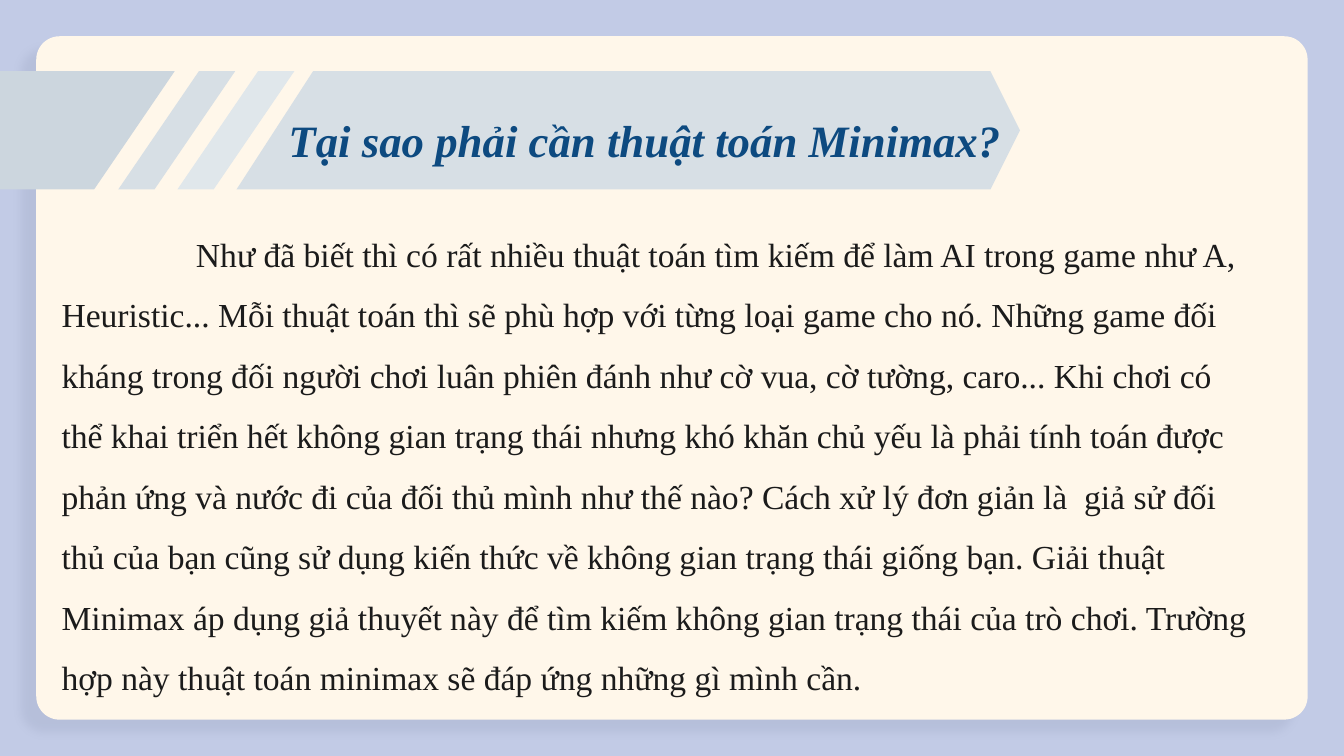
from collections import namedtuple

from lxml.etree import SubElement
from pptx import Presentation
from pptx.dml.color import RGBColor
from pptx.enum.shapes import MSO_SHAPE
from pptx.enum.text import MSO_ANCHOR, PP_ALIGN
from pptx.oxml.ns import qn
from pptx.util import Inches, Pt

WIDTH = 10
HEIGHT = WIDTH * 9 / 16
FONT = "Times New Roman"
COLORS = {
    "background": "C2CBE6",
    "panel": "FFF7EA",
    "shadow": "515B7A",
    "tab": "CCD6DE",
    "band": "D7DFE5",
    "stripe": "E0E7EB",
    "title": "0D4A80",
    "body": "1B1B1B",
}
TITLE = "Tại sao phải cần thuật toán Minimax?"
BODY = (
    " \tNhư đã biết thì có rất nhiều thuật toán tìm kiếm để làm AI trong game như A, "
    "Heuristic... Mỗi thuật toán thì sẽ phù hợp với từng loại game cho nó. "
    "Những game đối kháng trong đối người chơi luân phiên đánh như cờ vua, cờ tường, caro... "
    "Khi chơi có thể khai triển hết không gian trạng thái nhưng khó khăn chủ yếu là "
    "phải tính toán được phản ứng và nước đi của đối thủ mình như thế nào? "
    "Cách xử lý đơn giản là  giả sử đối thủ của bạn cũng sử dụng kiến thức về "
    "không gian trạng thái giống bạn. Giải thuật Minimax áp dụng giả thuyết này để "
    "tìm kiếm không gian trạng thái của trò chơi. "
    "Trường hợp này thuật toán minimax sẽ đáp ứng những gì mình cần."
)

Box = namedtuple("Box", "left top width height")


def paint(shape, color):
    shape.shadow.inherit = False
    shape.fill.solid()
    shape.fill.fore_color.rgb = RGBColor.from_string(COLORS[color])
    shape.line.fill.background()


def add_text(page, box, text, *, size, color, bold=False, italic=False,
             align=PP_ALIGN.LEFT, anchor=MSO_ANCHOR.TOP, margins=None,
             indent=0, tab_size=1, line_spacing=None, space_after=None):
    shape = page.shapes.add_textbox(*map(Inches, box))
    frame = shape.text_frame
    frame.word_wrap = True
    frame.vertical_anchor = anchor
    if margins is not None:
        frame.margin_left = frame.margin_right = Inches(margins)
        frame.margin_top = frame.margin_bottom = Inches(margins)
    para = frame.paragraphs[0]
    para.alignment = align
    para.line_spacing = line_spacing
    if space_after is not None:
        para.space_after = Pt(space_after)
    layout = para._p.get_or_add_pPr()
    layout.set("indent", str(Inches(indent)))
    layout.set("defTabSz", str(Inches(tab_size)))
    span = para.add_run()
    span.text = text
    span.font.name = FONT
    span.font.size = Pt(size)
    span.font.bold = bold
    span.font.italic = italic
    span.font.color.rgb = RGBColor.from_string(COLORS[color])


def add_panel(page, box):
    panel = page.shapes.add_shape(MSO_SHAPE.ROUNDED_RECTANGLE, *map(Inches, box))
    panel.adjustments[0] = 0.034
    paint(panel, "panel")
    effects = panel._element.spPr.find(qn("a:effectLst"))
    shadow = SubElement(effects, qn("a:outerShdw"), blurRad=str(Pt(4.5)),
                        dist=str(Pt(10.5)), dir=str(137 * 60000),
                        algn="bl", rotWithShape="0")
    tint = SubElement(shadow, qn("a:srgbClr"), val=COLORS["shadow"])
    SubElement(tint, qn("a:alpha"), val="10000")


def add_polygon(page, points, color):
    start, *others = [(Inches(x), Inches(y)) for x, y in points]
    builder = page.shapes.build_freeform(*start)
    builder.add_line_segments(others, close=True)
    paint(builder.convert_to_shape(), color)


def add_banner(page, box):
    slant, stripe, pitch, tip = 0.6, 0.27, 0.44, 0.22
    left, top = box.left, box.top
    right, bottom = left + box.width, top + box.height
    foot = left + 0.75
    add_polygon(page, [(left, top), (foot + slant, top),
                       (foot, bottom), (left, bottom)], "tab")
    first = foot + 0.18
    for index, color in enumerate(("band", "stripe")):
        edge = first + index * pitch
        add_polygon(page, [(edge + slant, top), (edge, bottom),
                           (edge + stripe, bottom),
                           (edge + stripe + slant, top)], color)
    edge = first + 2 * pitch
    add_polygon(page, [(edge + slant - 0.03, top), (edge, bottom),
                       (right - tip, bottom), (right, (top + bottom) / 2),
                       (right - tip, top)], "band")


def add_explanation_slide(page, box):
    page.background.fill.solid()
    page.background.fill.fore_color.rgb = RGBColor.from_string(COLORS["background"])
    margin = 0.027 * box.width
    add_panel(page, Box(box.left + margin, box.top + margin,
                        box.width - 2 * margin, box.height - 2 * margin))
    add_banner(page, Box(box.left - 0.05, box.top + 0.53, 7.64, 0.88))
    add_text(page, Box(box.left + 1.95, box.top + 0.6, 5.69, 0.64), TITLE,
             size=24, color="title", bold=True, italic=True,
             align=PP_ALIGN.CENTER, anchor=MSO_ANCHOR.BOTTOM, margins=0)
    add_text(page, Box(box.left + 0.36, box.top + 1.54, 9.09, 4.08), BODY,
             size=18, color="body", indent=0.25, line_spacing=1.5, space_after=8)


def main():
    deck = Presentation()
    deck.slide_width, deck.slide_height = Inches(WIDTH), Inches(HEIGHT)
    page = deck.slides.add_slide(deck.slide_layouts[6])
    add_explanation_slide(page, Box(0, 0, WIDTH, HEIGHT))
    deck.save("out.pptx")


if __name__ == "__main__":
    main()
